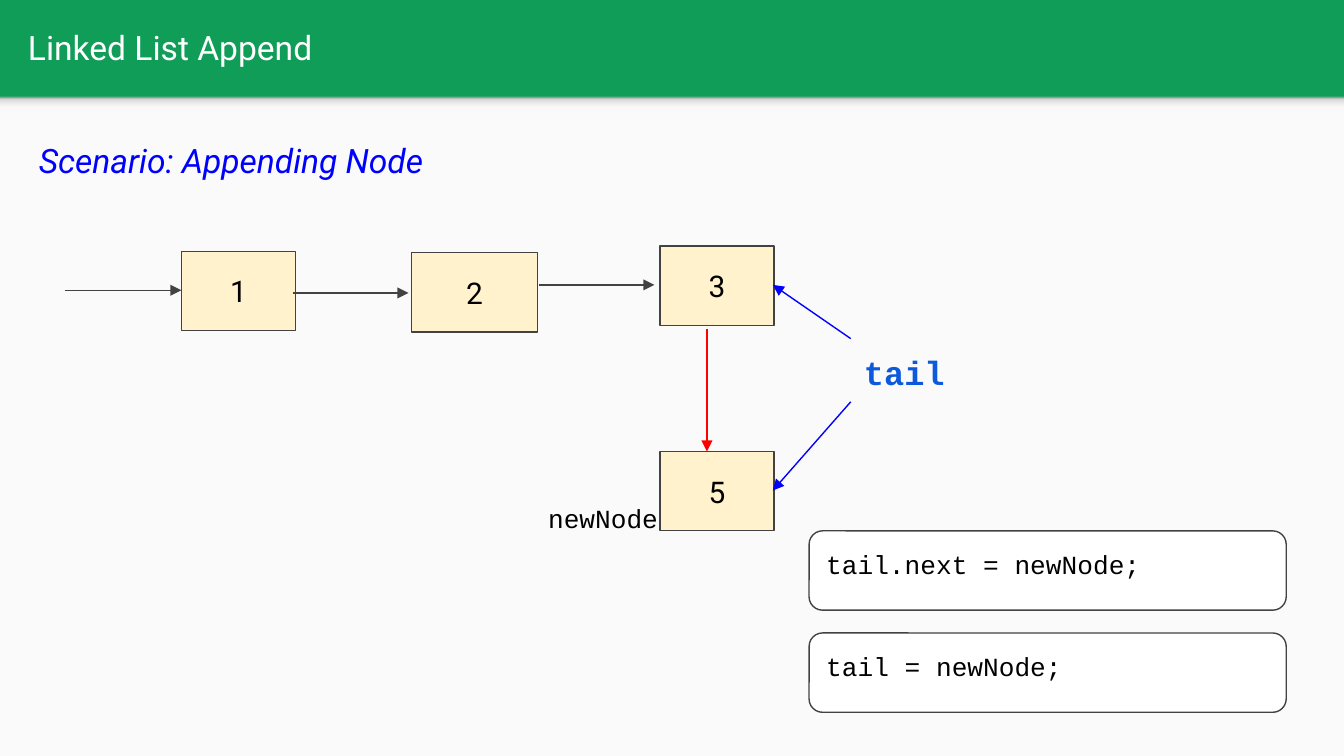
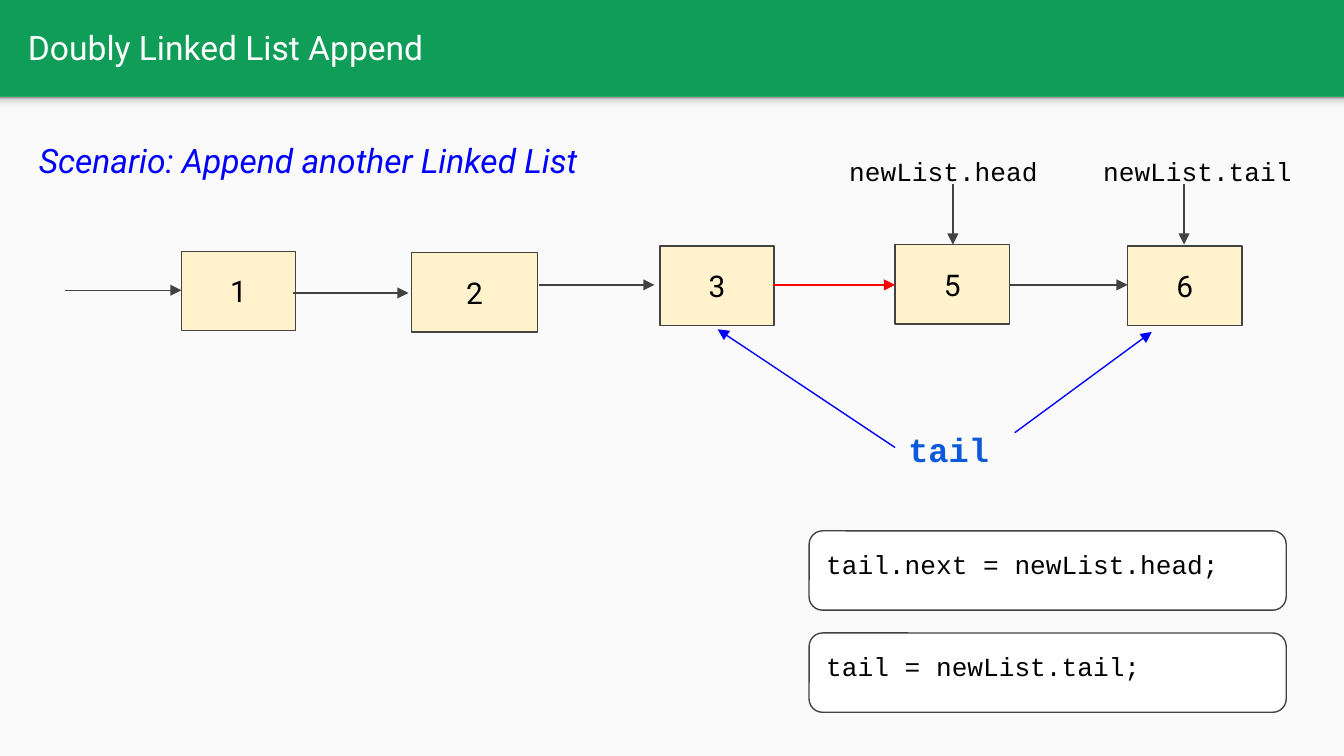
"""Build two slides on appending to linked lists."""
from dataclasses import dataclass

import lxml.etree
import pptx
import pptx.dml.color
import pptx.enum.shapes
import pptx.enum.text
import pptx.oxml.ns
import pptx.shapes.base
import pptx.slide
import pptx.util

Inches = pptx.util.Inches
qn = pptx.oxml.ns.qn
KIND = pptx.enum.shapes.MSO_SHAPE
ALIGN = pptx.enum.text.PP_ALIGN
ANCHOR = pptx.enum.text.MSO_ANCHOR

HUES = {
    "green": "0F9D58", "panel": "FAFAFA", "white": "FFFFFF", "black": "000000",
    "cream": "FFF2CC", "gray": "424242", "blue": "0000FF", "red": "FF0000",
    "tail": "0C5ADB",
}
SHADE = ((0, "F9F9F9"), (36, "F9F9F9"), (80, "DEDEDE"), (100, "999999"))
SANS, MONO = "Roboto", "Courier New"
TALL = 0.59
WIDE = 0.85


@dataclass(frozen=True)
class Box:
    left: float
    top: float
    width: float
    height: float


@dataclass(frozen=True)
class Style:
    font: str
    size: int
    hue: str = "black"
    bold: bool = False
    slant: bool = False
    align: ALIGN = ALIGN.LEFT
    anchor: ANCHOR = ANCHOR.TOP
    space: float = 1.0


@dataclass(frozen=True)
class Node:
    text: str
    left: float
    top: float
    width: float = WIDE


@dataclass(frozen=True)
class Arrow:
    start: tuple[float, float]
    end: tuple[float, float]
    hue: str = "gray"


@dataclass(frozen=True)
class Label:
    text: str
    box: Box
    style: Style


@dataclass(frozen=True)
class Page:
    title: str
    topic: str
    nodes: tuple[Node, ...]
    arrows: tuple[Arrow, ...]
    labels: tuple[Label, ...]
    code: tuple[str, ...]


TITLE = Style(SANS, 18, "white", anchor=ANCHOR.MIDDLE)
TOPIC = Style(SANS, 18, "blue", slant=True, space=1.15)
VALUE = Style(SANS, 16, align=ALIGN.CENTER, anchor=ANCHOR.MIDDLE)
CODE = Style(MONO, 14)
TAIL = Style(MONO, 18, "tail", bold=True)

NODES = (Node("1", 1.35, 1.87), Node("2", 3.06, 1.88, 0.94), Node("3", 4.91, 1.83))
ARROWS = (
    Arrow((0.48, 2.16), (1.35, 2.16)),
    Arrow((2.18, 2.18), (3.04, 2.18)),
    Arrow((4.01, 2.12), (4.87, 2.12)),
)

PAGES = (
    Page(
        "Linked List Append",
        "Scenario: Appending Node",
        (Node("5", 4.91, 3.36),),
        (
            Arrow((5.26, 2.45), (5.26, 3.36), "red"),
            Arrow((6.33, 2.52), (5.75, 2.12), "blue"),
            Arrow((6.33, 2.99), (5.75, 3.65), "blue"),
        ),
        (
            Label("tail", Box(6.33, 2.52, 1.08, 0.47), TAIL),
            Label("newNode", Box(3.98, 3.64, 1.24, 0.47), CODE),
        ),
        ("tail.next = newNode;", "tail = newNode;"),
    ),
    Page(
        "Doubly Linked List Append",
        "Scenario: Append another Linked List",
        (Node("5", 6.66, 1.82), Node("6", 8.39, 1.83)),
        (
            Arrow((5.75, 2.12), (6.66, 2.12), "red"),
            Arrow((7.51, 2.12), (8.39, 2.12)),
            Arrow((7.09, 1.37), (7.09, 1.82)),
            Arrow((8.81, 1.37), (8.81, 1.82)),
            Arrow((6.66, 3.33), (5.34, 2.45), "blue"),
            Arrow((7.55, 3.22), (8.57, 2.47), "blue"),
        ),
        (
            Label("tail", Box(6.66, 3.09, 1.08, 0.47), TAIL),
            Label("newList.head", Box(6.22, 1.06, 1.62, 0.47), CODE),
            Label("newList.tail", Box(8.11, 1.06, 1.62, 0.47), CODE),
        ),
        ("tail.next = newList.head;", "tail = newList.tail;"),
    ),
)


def tint(name: str) -> pptx.dml.color.RGBColor:
    return pptx.dml.color.RGBColor.from_string(HUES[name])


def place(box: Box) -> tuple[int, ...]:
    return tuple(Inches(n) for n in (box.left, box.top, box.width, box.height))


def write(shape: pptx.shapes.base.BaseShape, text: str, style: Style) -> None:
    frame = shape.text_frame
    frame.word_wrap = True
    frame.vertical_anchor = style.anchor
    frame.margin_left = frame.margin_right = Inches(0.1)
    frame.margin_top = frame.margin_bottom = Inches(0.1)
    para = frame.paragraphs[0]
    para.alignment = style.align
    para.line_spacing = style.space
    run = para.add_run()
    run.text = text
    run.font.name = style.font
    run.font.size = pptx.util.Pt(style.size)
    run.font.bold = style.bold
    run.font.italic = style.slant
    run.font.color.rgb = tint(style.hue)


def label(slide: pptx.slide.Slide, item: Label) -> None:
    write(slide.shapes.add_textbox(*place(item.box)), item.text, item.style)


def block(
    slide: pptx.slide.Slide, box: Box, hue: str, edge: str = "", kind: KIND = KIND.RECTANGLE
) -> pptx.shapes.base.BaseShape:
    shape = slide.shapes.add_shape(kind, *place(box))
    shape.shadow.inherit = False
    shape.fill.solid()
    shape.fill.fore_color.rgb = tint(hue)
    if edge:
        shape.line.color.rgb = tint(edge)
        shape.line.width = pptx.util.Pt(0.75)
    else:
        shape.line.fill.background()
    return shape


def shade(shape: pptx.shapes.base.BaseShape) -> None:
    shape.fill.gradient()
    shape.fill.gradient_angle = 90
    stops = shape._element.spPr.find(qn("a:gradFill")).find(qn("a:gsLst"))
    for old in list(stops):
        stops.remove(old)
    for share, hue in SHADE:
        stop = lxml.etree.SubElement(stops, qn("a:gs"), pos=str(share * 1000))
        lxml.etree.SubElement(stop, qn("a:srgbClr"), val=hue)


def point(slide: pptx.slide.Slide, arrow: Arrow) -> None:
    ends = (Inches(n) for n in (*arrow.start, *arrow.end))
    link = slide.shapes.add_connector(pptx.enum.shapes.MSO_CONNECTOR.STRAIGHT, *ends)
    link.line.color.rgb = tint(arrow.hue)
    link.line.width = pptx.util.Pt(0.75)
    lxml.etree.SubElement(link.line._get_or_add_ln(), qn("a:tailEnd"), type="triangle")
    lxml.etree.SubElement(link._element.spPr, qn("a:effectLst"))


def frame(slide: pptx.slide.Slide, page: Page) -> None:
    slide.background.fill.solid()
    slide.background.fill.fore_color.rgb = tint("green")
    block(slide, Box(0, 0.72, 10, 4.91), "panel")
    shade(block(slide, Box(0, 0.72, 10, 0.12), "panel"))
    label(slide, Label(page.title, Box(0.11, 0.02, 9.65, 0.66), TITLE))
    label(slide, Label(page.topic, Box(0.19, 0.9, 6.29, 0.47), TOPIC))


def draw(slide: pptx.slide.Slide, page: Page) -> None:
    frame(slide, page)
    for node in NODES + page.nodes:
        box = Box(node.left, node.top, node.width, TALL)
        write(block(slide, box, "cream", "gray"), node.text, VALUE)
    for row, text in enumerate(page.code):
        box = Box(6.02, 3.95 + 0.76 * row, 3.55, TALL)
        card = block(slide, box, "white", "gray", KIND.ROUNDED_RECTANGLE)
        card.adjustments[0] = 0.17
        write(card, text, CODE)
    for item in page.labels:
        label(slide, item)
    for arrow in ARROWS + page.arrows:
        point(slide, arrow)


def main() -> None:
    deck = pptx.Presentation()
    deck.slide_width = Inches(10)
    deck.slide_height = Inches(10) * 9 // 16
    for page in PAGES:
        draw(deck.slides.add_slide(deck.slide_layouts[6]), page)
    deck.save("out.pptx")


main()
